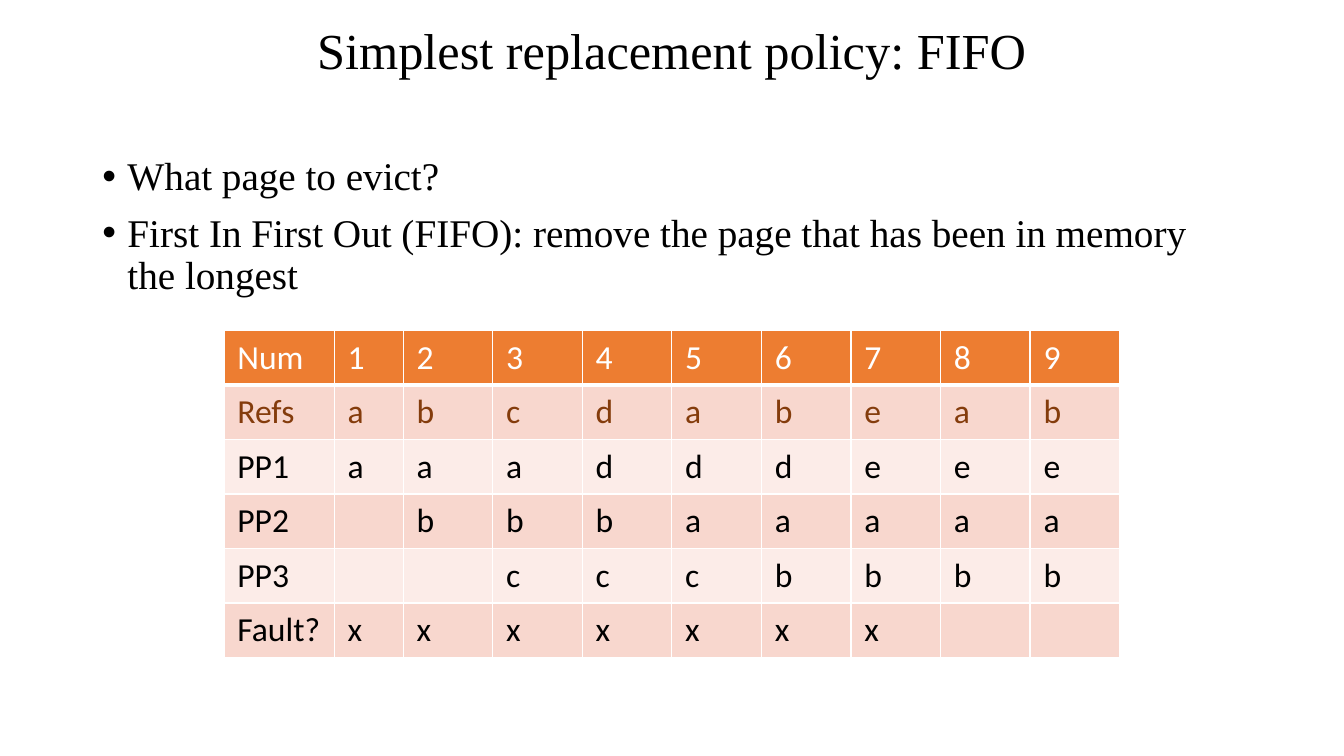
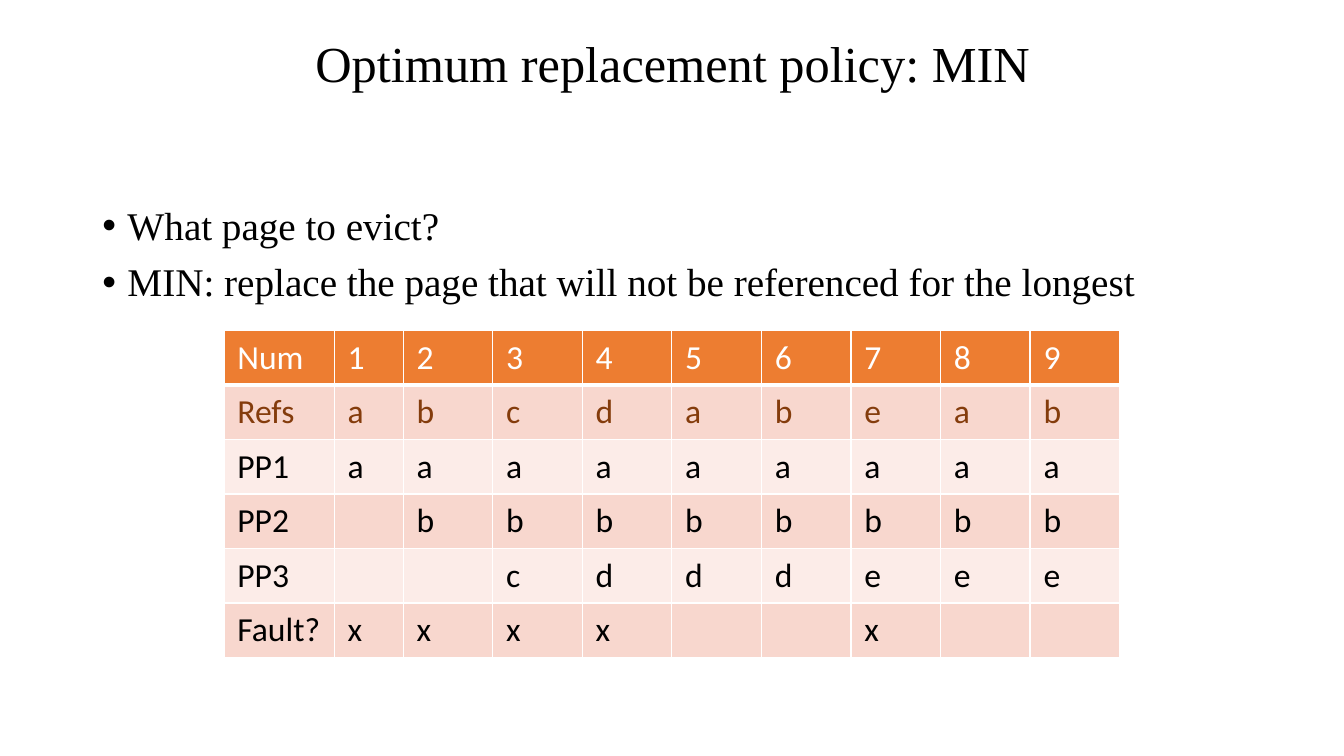
from lxml.etree import SubElement
from pptx import Presentation
from pptx.dml.color import RGBColor
from pptx.enum.text import MSO_ANCHOR, PP_ALIGN
from pptx.oxml.ns import qn
from pptx.util import Pt

# Content: cells are split on commas, an empty entry is an empty cell
SHARED_ROWS = ["Num,1,2,3,4,5,6,7,8,9", "Refs,a,b,c,d,a,b,e,a,b"]
PAGES = [
    {
        "title": "Simplest replacement policy: FIFO",
        "title_place": (66, 7.2, 828, 61.2),
        "bullets": [
            "What page to evict?",
            "First In First Out (FIFO): remove the page that has been in memory the longest",
        ],
        "bullets_place": (66, 108.5, 828, 378),
        "rows": [
            "PP1,a,a,a,d,d,d,e,e,e",
            "PP2,,b,b,b,a,a,a,a,a",
            "PP3,,,c,c,c,b,b,b,b",
            "Fault?,x,x,x,x,x,x,x,,",
        ],
    },
    {
        "title": "Optimum replacement policy: MIN",
        "title_place": (66.7, 10, 828, 75),
        "bullets": [
            "What page to evict?",
            "MIN: replace the page that will not be referenced for the longest",
        ],
        "bullets_place": (66, 144, 828, 342.7),
        "rows": [
            "PP1,a,a,a,a,a,a,a,a,a",
            "PP2,,b,b,b,b,b,b,b,b",
            "PP3,,,c,d,d,d,e,e,e",
            "Fault?,x,x,x,x,,,x,,",
        ],
    },
]

# Shared style
SERIF, SANS = "Times New Roman", "Calibri"
BLACK, WHITE, ORANGE, BROWN = "000000", "FFFFFF", "ED7D31", "843C0C"
BANDS = ("FCECE8", "F8D7CE")
TABLE_LEFT, TABLE_TOP, ROW_HEIGHT = 160, 236.2, 38.9
COLUMN_WIDTHS = [78.8, 49.2] + [64] * 8
INDENT = 18


def color(value):
    return RGBColor.from_string(value)


def add_run(para, text, font, size, ink):
    span = para.add_run()
    span.text = text
    span.font.name = font
    span.font.size = Pt(size)
    span.font.color.rgb = color(ink)


def add_box(page, place):
    box = page.shapes.add_textbox(*map(Pt, place))
    box.text_frame.word_wrap = True
    return box.text_frame


def add_title(page, text, place):
    frame = add_box(page, place)
    frame.vertical_anchor = MSO_ANCHOR.MIDDLE
    para = frame.paragraphs[0]
    para.alignment = PP_ALIGN.CENTER
    para.line_spacing = 0.9
    add_run(para, text, SERIF, 36, BLACK)


def add_bullets(page, lines, place):
    frame = add_box(page, place)
    for index, line in enumerate(lines):
        para = frame.add_paragraph() if index else frame.paragraphs[0]
        para.line_spacing = 0.9
        para.space_before = Pt(10)
        properties = para._p.get_or_add_pPr()
        properties.set("marL", str(Pt(INDENT)))
        properties.set("indent", str(Pt(-INDENT)))
        SubElement(properties, qn("a:buFont"), typeface="Arial")
        SubElement(properties, qn("a:buChar"), char="•")
        add_run(para, line, SERIF, 28, BLACK)


def add_borders(cell, bottom):
    properties = cell._tc.get_or_add_tcPr()
    for side, width in (("L", 1), ("R", 1), ("T", 1), ("B", bottom)):
        line = SubElement(properties, qn(f"a:ln{side}"), w=str(Pt(width)))
        SubElement(SubElement(line, qn("a:solidFill")), qn("a:srgbClr"), val=WHITE)


def row_style(row):
    """Return fill, ink and bottom border width of a table row."""
    if row == 0:
        return ORANGE, WHITE, 3
    return BANDS[row % 2], BROWN if row == 1 else BLACK, 1


def add_reference_table(page, rows):
    table = page.shapes.add_table(
        len(rows), len(COLUMN_WIDTHS), Pt(TABLE_LEFT), Pt(TABLE_TOP),
        Pt(sum(COLUMN_WIDTHS)), Pt(ROW_HEIGHT * len(rows))).table
    for column, width in zip(table.columns, COLUMN_WIDTHS):
        column.width = Pt(width)
    for row, line in enumerate(rows):
        table.rows[row].height = Pt(ROW_HEIGHT)
        fill, ink, bottom = row_style(row)
        for column, text in enumerate(line.split(",")):
            cell = table.cell(row, column)
            cell.margin_left = cell.margin_right = Pt(9.6)
            cell.margin_top = cell.margin_bottom = Pt(4.8)
            add_borders(cell, bottom)
            cell.fill.solid()
            cell.fill.fore_color.rgb = color(fill)
            if text:
                para = cell.text_frame.paragraphs[0]
                para.font.bold = False
                add_run(para, text, SANS, 24, ink)
                para.runs[0].font.bold = False


# Build the deck
deck = Presentation()
deck.slide_width, deck.slide_height = Pt(960), Pt(540)
for content in PAGES:
    page = deck.slides.add_slide(deck.slide_layouts[6])
    add_title(page, content["title"], content["title_place"])
    add_bullets(page, content["bullets"], content["bullets_place"])
    add_reference_table(page, SHARED_ROWS + content["rows"])
deck.save("out.pptx")
